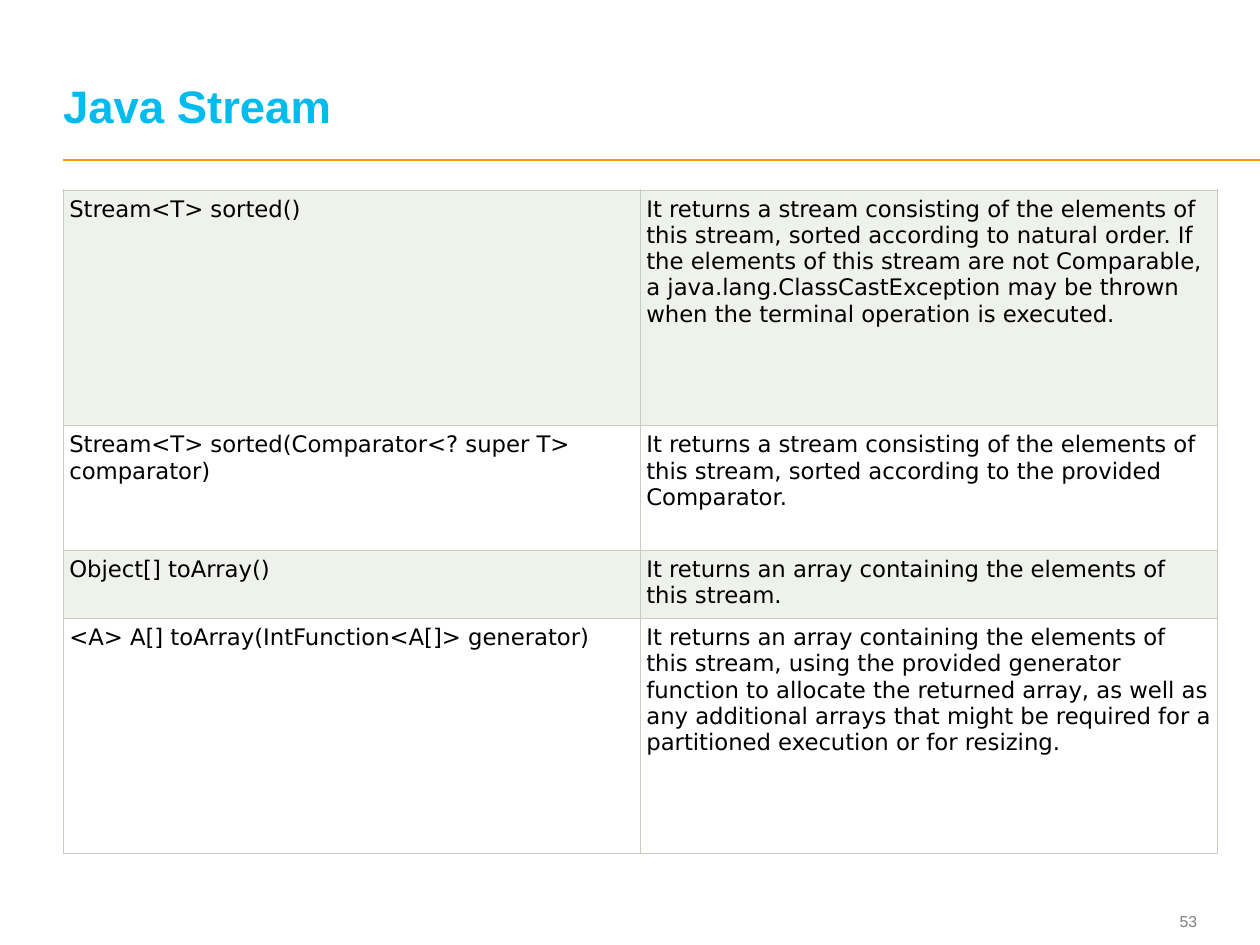
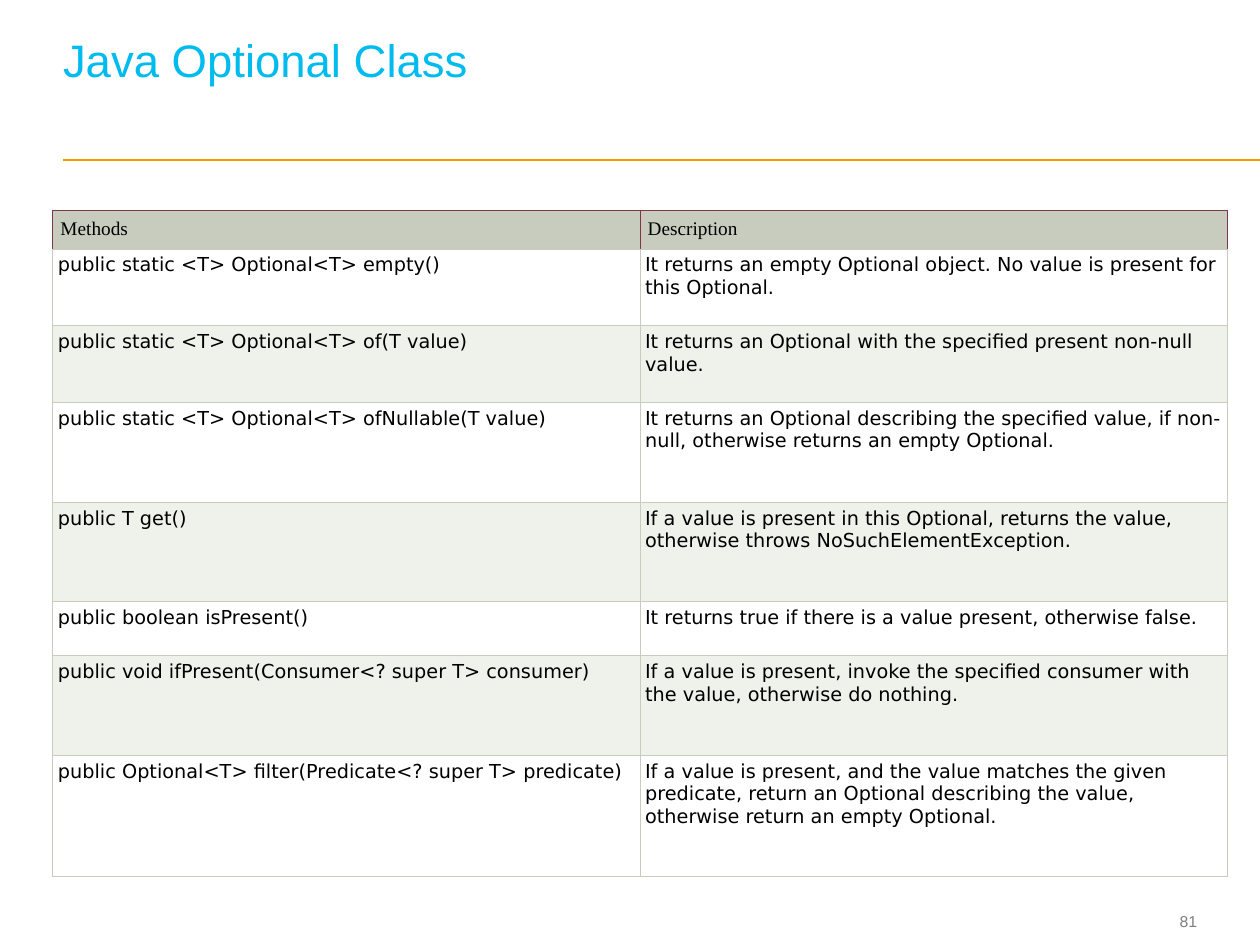
from lxml import etree
from pptx import Presentation
from pptx.dml.color import RGBColor
from pptx.enum.shapes import MSO_CONNECTOR
from pptx.enum.text import MSO_ANCHOR, MSO_AUTO_SIZE, PP_ALIGN
from pptx.oxml.ns import qn
from pptx.util import Inches, Pt

TOP, MID, LOW = MSO_ANCHOR.TOP, MSO_ANCHOR.MIDDLE, MSO_ANCHOR.BOTTOM
LEFT, RIGHT = PP_ALIGN.LEFT, PP_ALIGN.RIGHT
STRAIGHT, FIXED = MSO_CONNECTOR.STRAIGHT, MSO_AUTO_SIZE.NONE

HEX = {"title": "00BBEE", "rule": "FF9900", "page": "7F7F7F", "text": "000000",
       "tint": "EFF1EB", "white": "FFFFFF", "head": "C7CCBE", "edge": "803740"}
SANS, CODE, SERIF = "Arial", "DejaVu Sans", "Times New Roman"


def write(box, text, size, font, color, bold=False, align=LEFT, anchor=TOP,
          pad=0, foot=None, lead=None):
    """Fill a text frame or a table cell; foot is a bottom margin unlike pad."""
    box.margin_left = box.margin_right = box.margin_top = Inches(pad)
    box.margin_bottom = Inches(pad if foot is None else foot)
    box.vertical_anchor = anchor
    frame = getattr(box, "text_frame", box)
    frame.word_wrap = True
    para = frame.paragraphs[0]
    para.alignment = align
    if lead:
        para.line_spacing = Pt(lead)
    run = para.add_run()
    run.text = text
    run.font.size, run.font.name, run.font.bold = Pt(size), font, bold
    run.font.color.rgb = RGBColor.from_string(HEX[color])


def border(cell, **sides):
    """Draw the cell's sides, named L, R, T and B, in the given colours."""
    props = cell._tc.get_or_add_tcPr()
    for side, color in sides.items():
        line = etree.SubElement(props, qn(f"a:ln{side}"), w=str(Pt(0.6)))
        fill = etree.SubElement(line, qn("a:solidFill"))
        etree.SubElement(fill, qn("a:srgbClr"), val=HEX[color])


# Each slide: title, its look, page number, table place, row heights and rows
SLIDES = [
    dict(title="Java Stream", bold=True, foot=0, page="53",
         left=0.05, top=0.201, size=13, pad=0.05, head=False,
         high=[1.87, 0.99, 0.54, 1.87],
         rows=[
             ("Stream<T> sorted()",
              "It returns a stream consisting of the elements of this stream, "
              "sorted according to natural order. If the elements of this stream "
              "are not Comparable, a java.lang.ClassCastException may be thrown "
              "when the terminal operation is executed."),
             ("Stream<T> sorted(Comparator<? super T> comparator)",
              "It returns a stream consisting of the elements of this stream, "
              "sorted according to the provided Comparator."),
             ("Object[] toArray()",
              "It returns an array containing the elements of this stream."),
             ("<A> A[] toArray(IntFunction<A[]> generator)",
              "It returns an array containing the elements of this stream, using "
              "the provided generator function to allocate the returned array, as "
              "well as any additional arrays that might be required for a "
              "partitioned execution or for resizing."),
         ]),
    dict(title="Java Optional Class", bold=False, foot=0.36, page="81",
         left=0.042, top=0.223, size=11, pad=0.04, head=True,
         high=[0.3, 0.61, 0.61, 0.79, 0.79, 0.43, 0.79, 0.96],
         rows=[
             ("Methods", "Description"),
             ("public static <T> Optional<T> empty()",
              "It returns an empty Optional object. No value is present for this "
              "Optional."),
             ("public static <T> Optional<T> of(T value)",
              "It returns an Optional with the specified present non-null value."),
             ("public static <T> Optional<T> ofNullable(T value)",
              "It returns an Optional describing the specified value, if non-null, "
              "otherwise returns an empty Optional."),
             ("public T get()",
              "If a value is present in this Optional, returns the value, "
              "otherwise throws NoSuchElementException."),
             ("public boolean isPresent()",
              "It returns true if there is a value present, otherwise false."),
             ("public void ifPresent(Consumer<? super T> consumer)",
              "If a value is present, invoke the specified consumer with the "
              "value, otherwise do nothing."),
             ("public Optional<T> filter(Predicate<? super T> predicate)",
              "If a value is present, and the value matches the given predicate, "
              "return an Optional describing the value, otherwise return an empty "
              "Optional."),
         ]),
]

deck = Presentation()
deck.slide_width, deck.slide_height = Inches(10), Inches(7.5)
W, H = deck.slide_width, deck.slide_height
EDGE = int(0.05 * W)
MIDDLE = 0.508  # the line between the two columns, as a share of the width

for data in SLIDES:
    slide = deck.slides.add_slide(deck.slide_layouts[5])

    # Rule under the title, running off to the right edge
    y = int(0.169 * H)
    rule = slide.shapes.add_connector(STRAIGHT, EDGE, y, W, y)
    rule.line.color.rgb = RGBColor.from_string(HEX["rule"])
    rule.line.width = Pt(1)
    etree.SubElement(rule._element.spPr, qn("a:effectLst"))

    # Page number
    page = slide.shapes.add_textbox(int(0.891 * W), int(0.957 * H),
                                    int(0.059 * W), int(0.036 * H))
    write(page.text_frame, data["page"], 9, SANS, "page", align=RIGHT, anchor=MID)

    # Title
    title = slide.shapes.title
    title.left, title.top = EDGE, int(0.025 * H)
    title.width, title.height = int(0.897 * W), int(0.115 * H)
    title.text_frame.auto_size = FIXED
    write(title.text_frame, data["title"], 26, SANS, "title", bold=data["bold"],
          anchor=LOW, foot=data["foot"], lead=26)

    # Table of methods: two equal columns, rows tinted in turn
    rows, high = data["rows"], data["high"]
    wide = int((MIDDLE - data["left"]) * W)
    table = slide.shapes.add_table(len(rows), 2, int(data["left"] * W),
                                   int(data["top"] * H), 2 * wide,
                                   Inches(sum(high))).table
    table.first_row = data["head"]
    for col in table.columns:
        col.width = wide
    for r, texts in enumerate(rows):
        table.rows[r].height = Inches(high[r])
        head = data["head"] and r == 0
        edge = "edge" if head else "head"
        shade = "head" if head else ("white" if r % 2 else "tint")
        for c, text in enumerate(texts):
            cell = table.cell(r, c)
            write(cell, text, data["size"], SERIF if head else CODE, "text",
                  pad=0.06 if head else data["pad"])
            border(cell, L=edge, R=edge, T=edge, B="head")
            cell.fill.solid()
            cell.fill.fore_color.rgb = RGBColor.from_string(HEX[shade])

deck.save("out.pptx")
